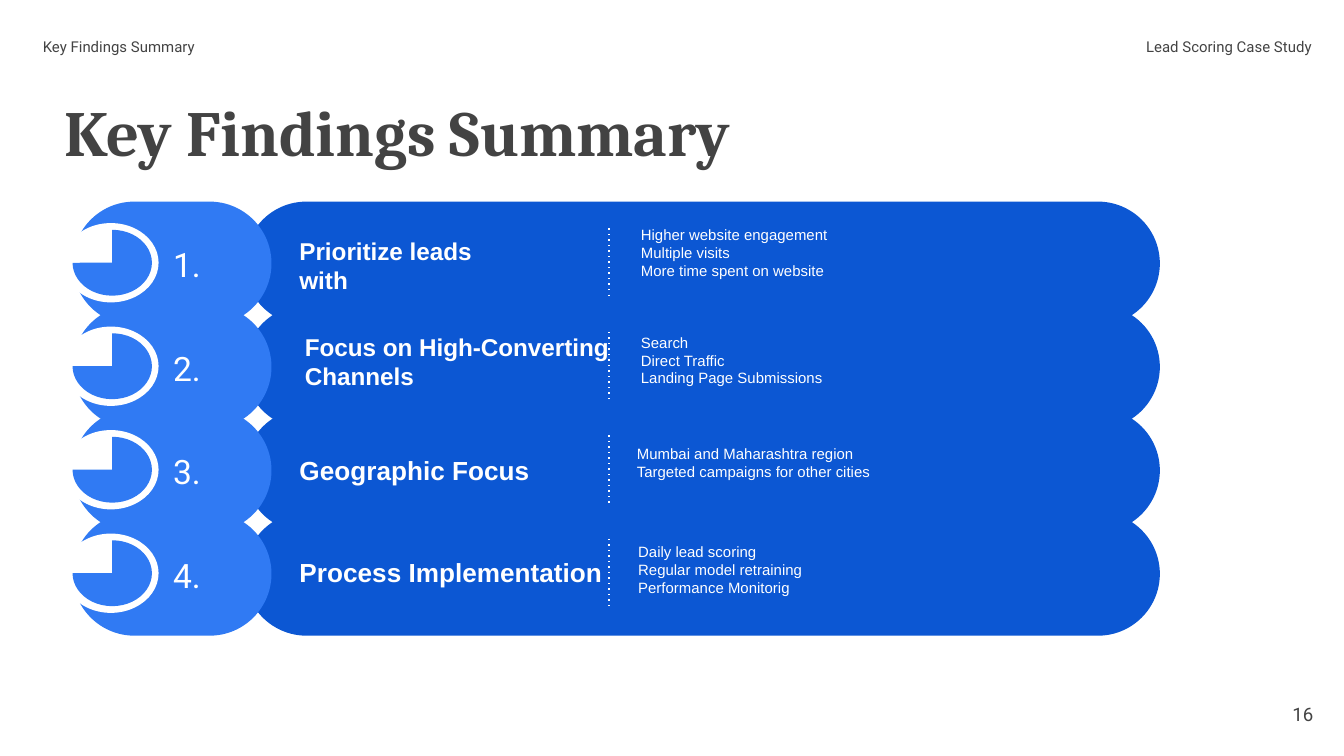
from lxml.etree import SubElement
from pptx import Presentation
from pptx.dml.color import RGBColor
from pptx.enum.shapes import MSO_CONNECTOR, MSO_SHAPE
from pptx.enum.text import MSO_ANCHOR, PP_ALIGN
from pptx.oxml.ns import qn
from pptx.util import Inches, Pt

COLORS = {"dark": "0C57D3", "light": "307AF3", "white": "FFFFFF", "text": "434343"}


def add_text(shapes, text, area, size, font="Arial", color="white", bold=False,
             anchor=MSO_ANCHOR.TOP, align=PP_ALIGN.LEFT, spacing=None):
    box = shapes.add_textbox(*[Inches(value) for value in area])
    frame = box.text_frame
    frame.word_wrap = True
    frame.vertical_anchor = anchor
    frame.margin_left = frame.margin_right = Inches(0.1)
    frame.margin_top = frame.margin_bottom = Inches(0.1)
    frame.text = text
    for para in frame.paragraphs:
        para.alignment = align
        para.line_spacing = spacing
        for span in para.runs:
            span.font.name = font
            span.font.size = Pt(size)
            span.font.bold = bold
            span.font.color.rgb = RGBColor.from_string(COLORS[color])


def add_filled(shapes, kind, area, color, adjustments=()):
    shape = shapes.add_shape(kind, *[Inches(value) for value in area])
    shape.shadow.inherit = False
    shape.fill.solid()
    shape.fill.fore_color.rgb = RGBColor.from_string(COLORS[color])
    shape.line.fill.background()
    for index, value in enumerate(adjustments):
        shape.adjustments[index] = value


deck = Presentation()
deck.slide_width = Inches(10)
deck.slide_height = Inches(10) * 9 // 16
page = deck.slides.add_slide(deck.slide_layouts[6])

# Header, title and page number
add_text(page.shapes, "Key Findings Summary", (0.22, 0.22, 2.03, 0.23), 8, "Roboto",
         "text", anchor=MSO_ANCHOR.MIDDLE, spacing=1.15)
add_text(page.shapes, "Lead Scoring Case Study", (7.75, 0.22, 2.11, 0.23), 8, "Roboto",
         "text", anchor=MSO_ANCHOR.MIDDLE, align=PP_ALIGN.RIGHT, spacing=1.15)
add_text(page.shapes, "Key Findings Summary", (0.38, 0.65, 6.19, 0.72), 34.5, "Cambria",
         "text", bold=True, spacing=0.9)
add_text(page.shapes, "16", (9.27, 5.1, 0.6, 0.43), 10, "Roboto",
         "text", anchor=MSO_ANCHOR.MIDDLE, align=PP_ALIGN.RIGHT)

# Numbered bands
FIRST_TOP, ROW_STEP = 1.5, 0.77
DIVIDER_X = 4.53
for row in range(4):
    top = FIRST_TOP + row * ROW_STEP
    band = page.shapes.add_group_shape().shapes
    add_filled(band, MSO_SHAPE.ROUNDED_RECTANGLE, (1.82, top, 6.81, 0.92), "dark", [0.5])
    add_filled(band, MSO_SHAPE.ROUNDED_RECTANGLE, (0.54, top, 1.48, 0.92), "light", [0.5])
    add_filled(band, MSO_SHAPE.OVAL, (0.47, top + 0.16, 0.71, 0.59), "white")
    # Pie angles are in 60000ths of a degree over 100000: 270 to 180 degrees
    add_filled(band, MSO_SHAPE.PIE, (0.54, top + 0.21, 0.59, 0.49), "light", [162, 108])
    add_text(band, f"{row + 1}.", (1.19, top + 0.24, 0.83, 0.45), 18, "Roboto",
             anchor=MSO_ANCHOR.MIDDLE)
    divider = band.add_connector(MSO_CONNECTOR.STRAIGHT, Inches(DIVIDER_X), Inches(top + 0.2),
                                 Inches(DIVIDER_X), Inches(top + 0.71))
    divider.line.color.rgb = RGBColor.from_string(COLORS["white"])
    divider.line.width = Pt(0.75)
    properties = divider._element.spPr
    SubElement(properties.find(qn("a:ln")), qn("a:prstDash"), val="dot")
    SubElement(properties, qn("a:effectLst"))

# Headings: text, area, size
headings = [
    ("Prioritize leads\nwith", (2.13, 1.66, 2.5, 0.64), 13),
    ("Focus on High-Converting Channels", (2.17, 2.37, 2.5, 0.64), 13),
    ("Geographic Focus", (2.13, 3.28, 3.28, 0.44), 14),
    ("Process Implementation", (2.13, 4.04, 3.28, 0.44), 14),
]
for text, area, size in headings:
    add_text(page.shapes, text, area, size, bold=True)

# Details: lines, area
details = [
    (["Higher website engagement", "Multiple visits", "More time spent on website"],
     (4.67, 1.58, 4.32, 0.61)),
    (["Search", "Direct Traffic", "Landing Page Submissions"], (4.67, 2.38, 4.38, 0.61)),
    (["Mumbai and Maharashtra region", "Targeted campaigns for other cities"],
     (4.64, 3.21, 4.32, 0.47)),
    (["Daily lead scoring", "Regular model retraining", "Performance Monitorig"],
     (4.65, 3.94, 4.6, 0.61)),
]
for lines, area in details:
    add_text(page.shapes, "\n".join(lines), area, 8)

deck.save("out.pptx")
